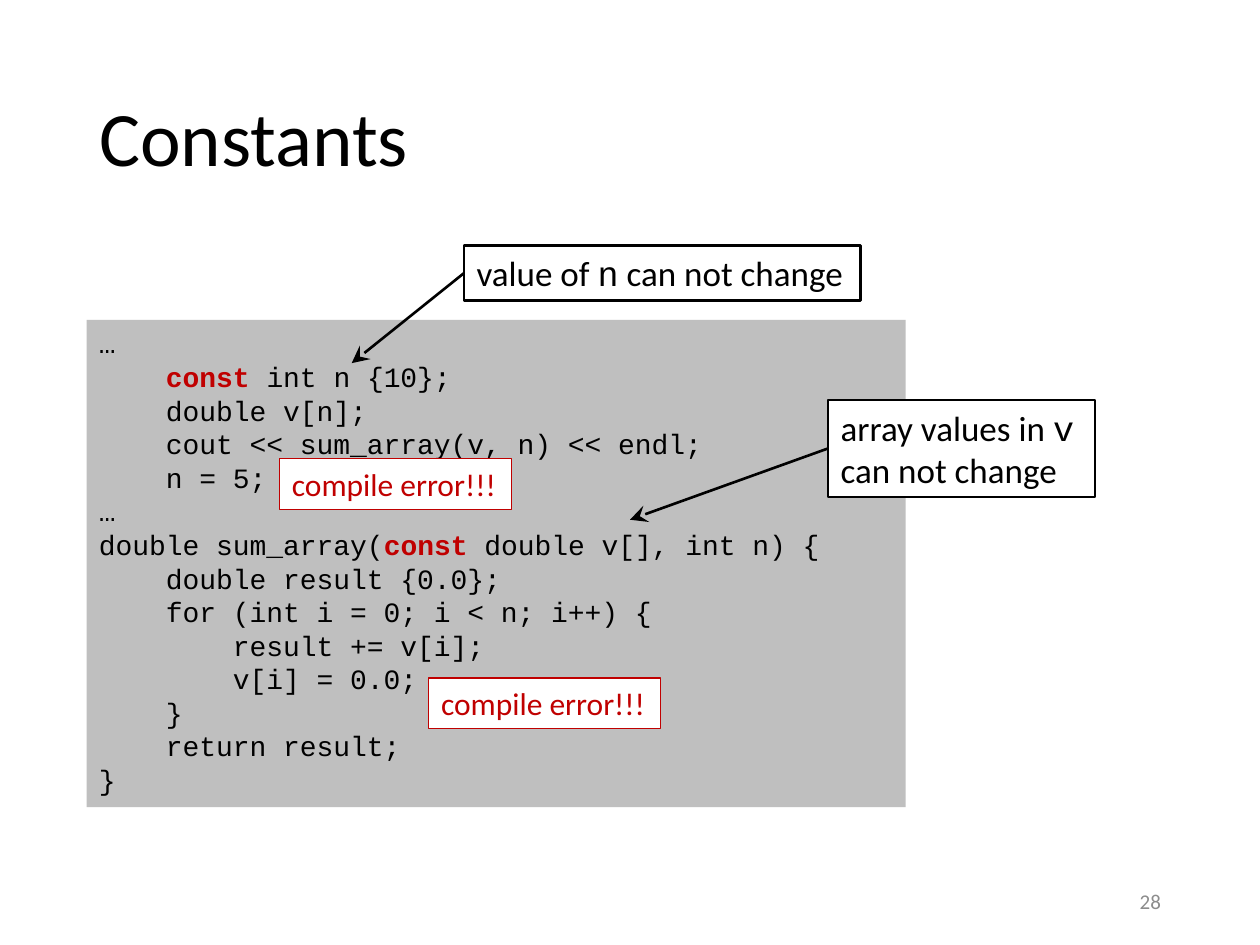
import pptx
import pptx.util
import pptx.dml.color
import pptx.enum.shapes
import pptx.enum.text
import pptx.oxml
import pptx.oxml.ns

Pt = pptx.util.Pt
Color = pptx.dml.color.RGBColor.from_string
Anchor = pptx.enum.text.MSO_ANCHOR
Align = pptx.enum.text.PP_ALIGN
AutoSize = pptx.enum.text.MSO_AUTO_SIZE

TITLE = "Constants"
PAGE_NUMBER = "28"
CODE = [
    [("…", "code")],
    [("    ", "code"), ("const ", "keyword"), ("int n {10};", "code")],
    [("    double v[n];", "code")],
    [("    cout << sum_array(v, n) << endl;", "code")],
    [("    n = 5;", "code")],
    [("…", "code")],
    [("double sum_array(", "code"), ("const", "keyword"), (" double v[], int n) {", "code")],
    [("    double result {0.0};", "code")],
    [("    for (int i = 0; i < n; i++) {", "code")],
    [("        result += v[i];", "code")],
    [("        v[i] = 0.0;", "code")],
    [("    }", "code")],
    [("    return result;", "code")],
    [("}", "code")],
]
CALLOUTS = [
    {
        "lines": [[("value of ", "note"), ("n", "variable"), (" can not change", "note")]],
        "area": (265.25, 140.25, 226.5, 31.5),
        "target": (201, 207.5),
    },
    {
        "lines": [[("array values in ", "note"), ("v", "variable"),
                   ("", "break"), ("can not change", "note")]],
        "area": (473.25, 228.5, 152.5, 55.5),
        "target": (360, 297),
    },
]
ERROR = [[("compile error!!!", "error")]]
ERROR_CORNERS = [(159.75, 262), (245, 387.5)]
ERROR_SIZE = (132.5, 29)

TITLE_AREA = (49.5, 28.75, 621, 104.5)
NUMBER_AREA = (508.5, 500.5, 162, 28.75)
CODE_AREA = (49.5, 182.75, 468, 278.5)

THEME = {
    "white": "FFFFFF",
    "panel": "BFBFBF",
    "black": "000000",
    "red": "C00000",
    "thick": 1.5,
    "thin": 0.75,
    "title": {"name": "Calibri", "size": Pt(44), "color": "000000"},
    "number": {"name": "Calibri", "size": Pt(12), "color": "8C8C8C"},
    "code": {"name": "Courier New", "size": Pt(16), "color": "000000"},
    "keyword": {"name": "Courier New", "size": Pt(16), "color": "C00000", "bold": True},
    "note": {"name": "Calibri", "size": Pt(20), "color": "000000"},
    "variable": {"name": "Courier New", "size": Pt(20), "color": "000000"},
    "error": {"name": "Calibri", "size": Pt(18), "color": "C00000"},
}


def points(values):
    return [Pt(value) for value in values]


def format_font(font, style):
    for key, value in THEME[style].items():
        if key == "color":
            font.color.rgb = Color(value)
        else:
            setattr(font, key, value)


def write(frame, lines, **options):
    settings = {"word_wrap": True, "auto_size": AutoSize.NONE,
                "vertical_anchor": Anchor.TOP, **options}
    for key, value in settings.items():
        setattr(frame, key, value)
    for index, spans in enumerate(lines):
        para = frame.add_paragraph() if index else frame.paragraphs[0]
        para.alignment = Align.LEFT
        for text, style in spans:
            if style == "break":
                para.add_line_break()
                continue
            span = para.add_run()
            span.text = text
            format_font(span.font, style)


def add_box(shapes, area, lines, fill, line=None, width=0, **options):
    box = shapes.add_shape(pptx.enum.shapes.MSO_SHAPE.RECTANGLE, *points(area))
    box.shadow.inherit = False
    box.fill.solid()
    box.fill.fore_color.rgb = Color(fill)
    if line:
        box.line.color.rgb = Color(line)
        box.line.width = Pt(width)
    else:
        box.line.fill.background()
    write(box.text_frame, lines, **options)


def add_arrow(shapes, start, end):
    arrow = shapes.add_connector(pptx.enum.shapes.MSO_CONNECTOR.STRAIGHT,
                                 *points(start + end))
    arrow.line.color.rgb = Color(THEME["black"])
    arrow.line.width = Pt(THEME["thick"])
    properties = arrow.element.spPr
    outline = properties.find(pptx.oxml.ns.qn("a:ln"))
    namespace = pptx.oxml.ns.nsdecls("a")
    outline.append(pptx.oxml.parse_xml(
        f'<a:tailEnd {namespace} type="stealth" w="lg" len="lg"/>'))
    properties.append(pptx.oxml.parse_xml(f"<a:effectLst {namespace}/>"))


def add_callout(page, callout):
    left, top, width, height = callout["area"]
    group = page.shapes.add_group_shape()
    add_box(group.shapes, callout["area"], callout["lines"], THEME["white"],
            THEME["black"], THEME["thick"])
    add_arrow(group.shapes, (left, top + height / 2), callout["target"])


def main():
    deck = pptx.Presentation()
    deck.slide_width, deck.slide_height = points((720, 540))
    page = deck.slides.add_slide(deck.slide_layouts[5])

    title = page.shapes.title
    title.left, title.top, title.width, title.height = points(TITLE_AREA)
    write(title.text_frame, [[(TITLE, "title")]], vertical_anchor=Anchor.MIDDLE)
    title.text_frame.paragraphs[0].line_spacing = 0.9

    number = page.shapes.add_textbox(*points(NUMBER_AREA))
    write(number.text_frame, [[(PAGE_NUMBER, "number")]], vertical_anchor=Anchor.MIDDLE)
    number.text_frame.paragraphs[0].alignment = Align.RIGHT

    add_box(page.shapes, CODE_AREA, CODE, THEME["panel"])
    for callout in CALLOUTS:
        add_callout(page, callout)
    for corner in ERROR_CORNERS:
        add_box(page.shapes, corner + ERROR_SIZE, ERROR, THEME["white"],
                THEME["red"], THEME["thin"], word_wrap=False)

    deck.save("out.pptx")


if __name__ == "__main__":
    main()
